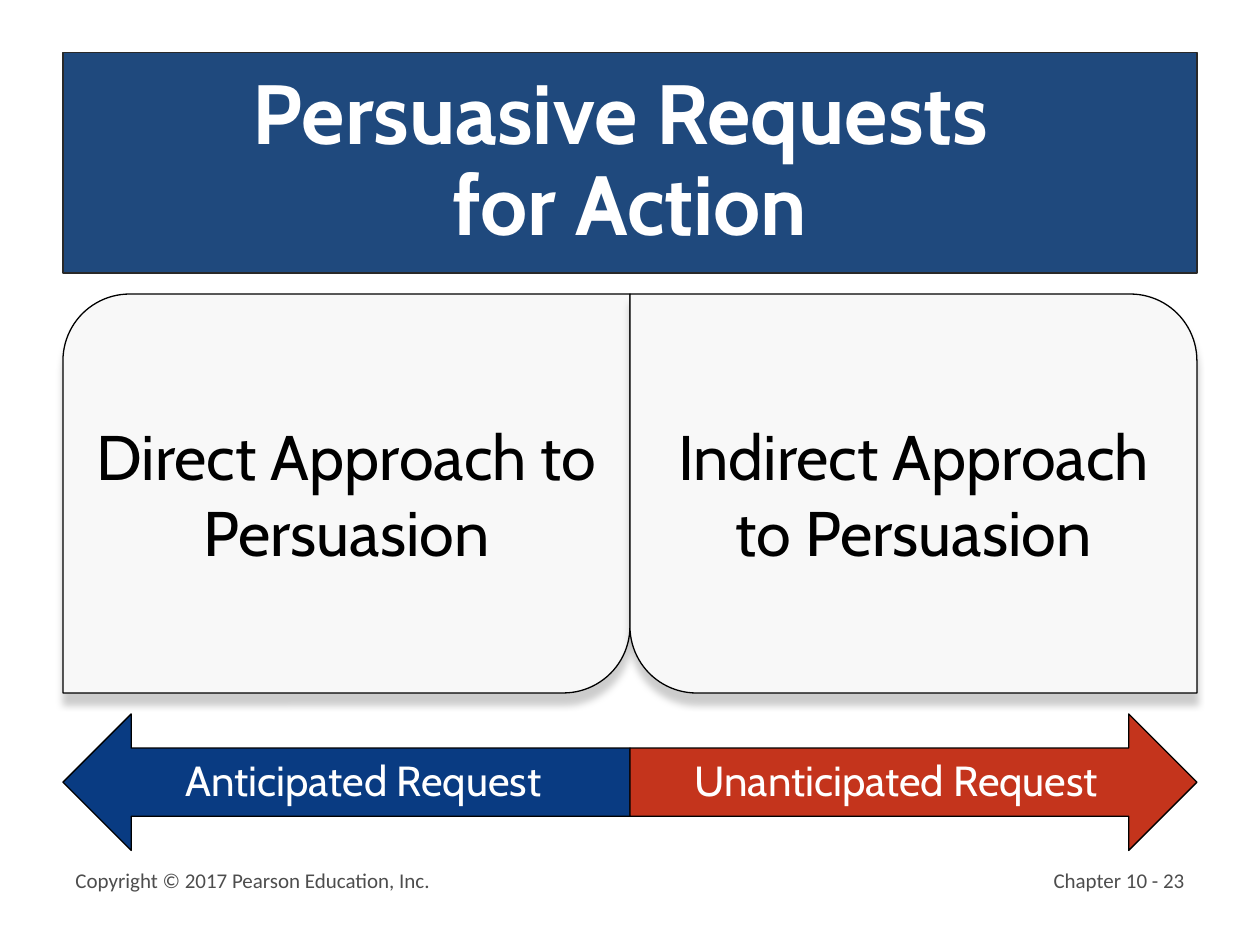
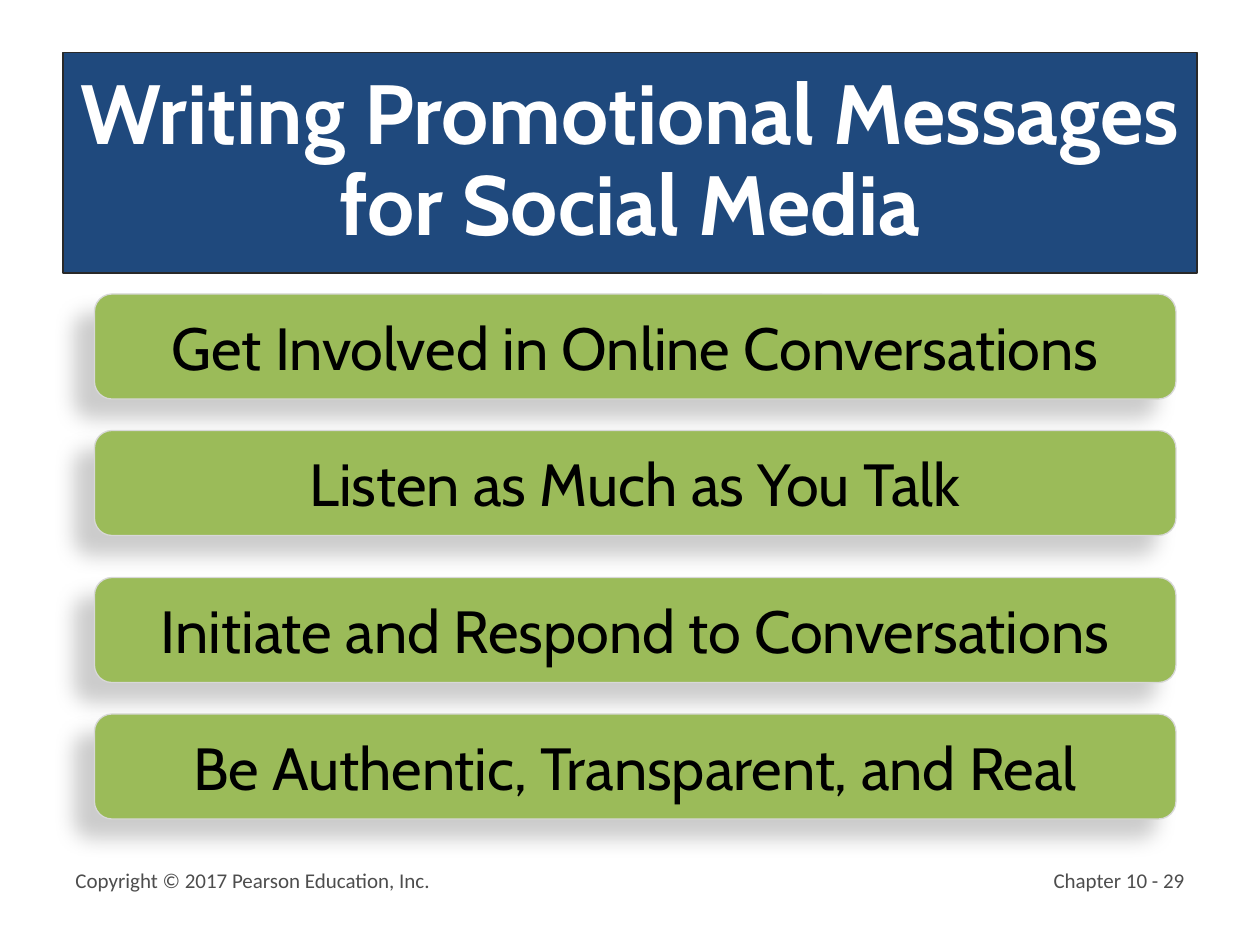
from lxml.etree import SubElement
from pptx import Presentation
from pptx.dml.color import RGBColor
from pptx.enum.shapes import MSO_SHAPE as SHAPE
from pptx.enum.text import MSO_ANCHOR as ANCHOR, PP_ALIGN as ALIGN
from pptx.oxml.ns import qn
from pptx.util import Pt

PX = 9525
MARGIN = 48
BODY_TOP = 224
HALF_WIDTH = 432
ARROW_TOP = 544
NAVY, GREEN, PALE = "1F497D", "9BBB59", "F8F8F8"
WHITE, BLACK, GREY = "FFFFFF", "000000", "4D4D4D"
DISPLAY_FONT, FOOTER_FONT = "Cabin", "Calibri"
color = RGBColor.from_string


def write_text(shape, text, size, text_color, font=DISPLAY_FONT, bold=False,
               align=ALIGN.CENTER, anchor=ANCHOR.MIDDLE):
    frame = shape.text_frame
    frame.word_wrap = True
    frame.vertical_anchor = anchor
    frame.text = text
    paragraph = frame.paragraphs[0]
    paragraph.alignment = align
    for run in paragraph.runs:
        run.font.name = font
        run.font.size = Pt(size)
        run.font.bold = bold
        run.font.color.rgb = color(text_color)


def add_block(slide, kind, box, fill, line, adjustments=(), shadow=None):
    shape = slide.shapes.add_shape(kind, *(value * PX for value in box))
    shape.shadow.inherit = False
    shape.fill.solid()
    shape.fill.fore_color.rgb = color(fill)
    shape.line.color.rgb = color(line)
    shape.line.width = Pt(0.75)
    for index, value in enumerate(adjustments):
        shape.adjustments[index] = value
    if shadow:
        blur, distance, angle = shadow
        effects = shape._element.spPr.find(qn("a:effectLst"))
        outer = SubElement(effects, qn("a:outerShdw"), blurRad=str(Pt(blur)),
                           dist=str(Pt(distance)), dir=str(angle * 60000),
                           algn="ctr", rotWithShape="0")
        tint = SubElement(outer, qn("a:srgbClr"), val=BLACK)
        SubElement(tint, qn("a:alpha"), val="20000")
    return shape


presentation = Presentation()
presentation.slide_width = 960 * PX
presentation.slide_height = 720 * PX

slides = []
for title, number in [
    ("Persuasive Requests \vfor Action", 23),
    ("Writing Promotional Messages for Social Media", 29),
]:
    slide = presentation.slides.add_slide(presentation.slide_layouts[6])
    slides.append(slide)
    banner = add_block(slide, SHAPE.RECTANGLE, (MARGIN, 40, 2 * HALF_WIDTH, 168), NAVY, "292929")
    write_text(banner, title, 48, WHITE, bold=True)
    banner.text_frame.paragraphs[0].line_spacing = 0.9
    for text, left, width, align in [
        ("Copyright © 2017 Pearson Education, Inc.", MARGIN, 592, ALIGN.LEFT),
        (f"Chapter 10 - {number}", 712, 200, ALIGN.RIGHT),
    ]:
        footer = slide.shapes.add_textbox(left * PX, 656 * PX, width * PX, 48 * PX)
        write_text(footer, text, 12, GREY, FOOTER_FONT, align=align, anchor=ANCHOR.TOP)

requests_slide, social_slide = slides

for column, (approach, corners, request, arrow_kind, arrow_fill) in enumerate([
    ("Direct Approach to Persuasion", (0.167, 0),
     "Anticipated Request", SHAPE.LEFT_ARROW, "093B82"),
    ("Indirect Approach to Persuasion", (0, 0.167),
     "Unanticipated Request", SHAPE.RIGHT_ARROW, "C4341C"),
]):
    left = MARGIN + column * HALF_WIDTH
    panel = add_block(requests_slide, SHAPE.ROUND_2_DIAG_RECTANGLE,
                      (left, BODY_TOP, HALF_WIDTH, 304), PALE, BLACK, corners, (4, 6, 90))
    write_text(panel, approach, 36, BLACK)
    arrow = add_block(requests_slide, arrow_kind,
                      (left, ARROW_TOP, HALF_WIDTH, 104), arrow_fill, BLACK, (0.5, 0.5))
    write_text(arrow, request, 24, WHITE, anchor=ANCHOR.TOP)

for top, advice in [
    (BODY_TOP, "Get Involved in Online Conversations"),
    (328, "Listen as Much as You Talk"),
    (440, "Initiate and Respond to Conversations"),
    (544, "Be Authentic, Transparent, and Real"),
]:
    bar = add_block(social_slide, SHAPE.ROUNDED_RECTANGLE, (72, top, 824, 80),
                    GREEN, "D8D8D8", (0.167,), (11.8, 16, 141))
    write_text(bar, advice, 34, BLACK)

presentation.save("out.pptx")
